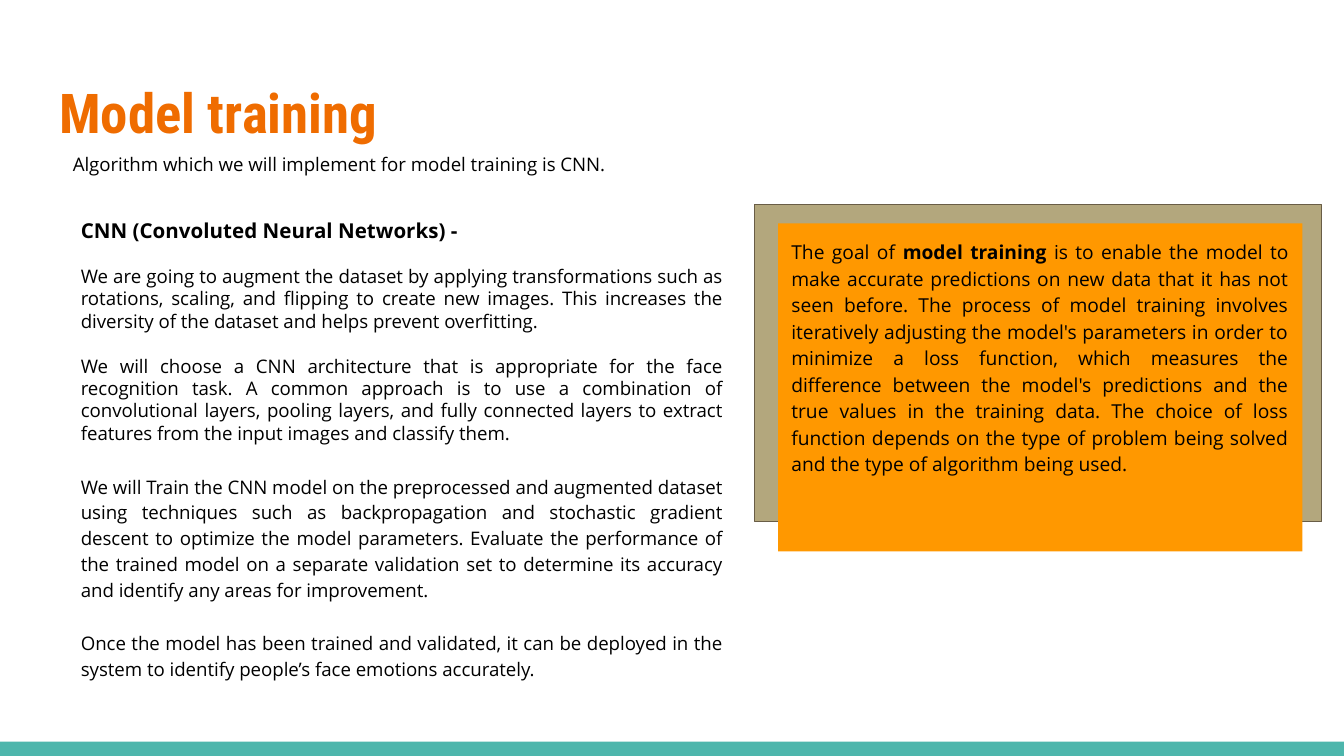
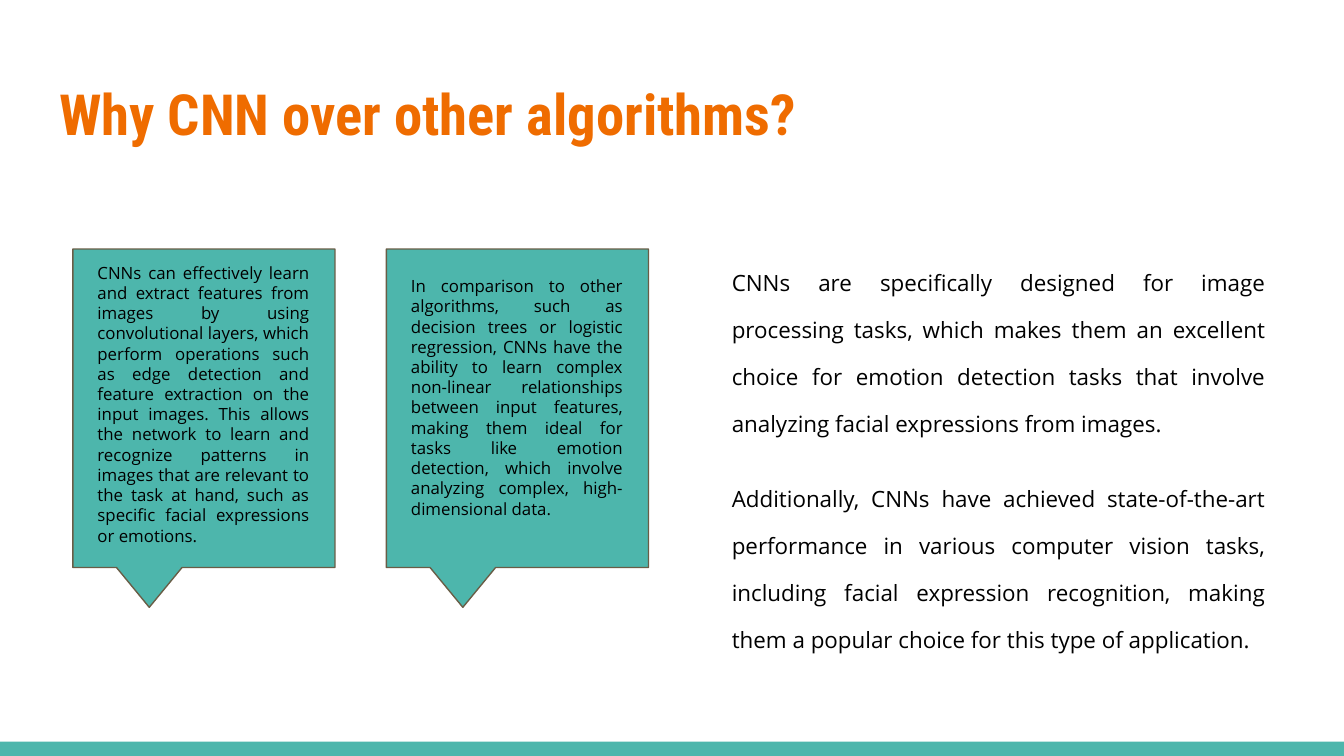
from collections import namedtuple

from pptx import Presentation
from pptx.dml.color import RGBColor
from pptx.enum.shapes import MSO_SHAPE as SHAPE
from pptx.enum.text import MSO_ANCHOR as ANCHOR, MSO_AUTO_SIZE as AUTO_SIZE, PP_ALIGN as ALIGN
from pptx.util import Inches, Pt

COLORS = {
    "title": "EF6C00",
    "text": "000000",
    "teal": "4DB6AC",
    "sand": "B3A77D",
    "orange": "FF9800",
    "outline": "695D46",
}
TITLE_FONT, BODY_FONT = "Roboto Condensed", "Open Sans"
CELL = Inches(0.1)  # the slide is a grid of square cells
COLS, ROWS = 100, 56.25

Box = namedtuple("Box", "col row cols rows")
# One paragraph; runs holds (text, bold) pairs
Para = namedtuple("Para", "runs size align spacing before",
                  defaults=(10, ALIGN.JUSTIFY, None, None))


def rgb(name):
    return RGBColor.from_string(COLORS[name])


def plain(text, bold=False, **style):
    return Para([(text, bold)], **style)


def emu(box):
    return [round(n * CELL) for n in box]


def within(box, col, row, cols, rows):
    """A box whose corner is counted from the corner of another box."""
    return Box(box.col + col, box.row + row, cols, rows)


def write(tf, paras):
    tf.word_wrap = True
    tf.auto_size = AUTO_SIZE.NONE
    tf.vertical_anchor = ANCHOR.TOP
    tf.margin_left = tf.margin_right = tf.margin_top = tf.margin_bottom = CELL
    for i, para in enumerate(paras):
        p = tf.add_paragraph() if i else tf.paragraphs[0]
        p.alignment = para.align
        p.font.name, p.font.size = BODY_FONT, Pt(para.size)
        p.font.color.rgb = rgb("text")
        if para.spacing:
            p.line_spacing = para.spacing
        if para.before:
            p.space_before = Pt(para.before)
        for text, bold in para.runs:
            r = p.add_run()
            r.text = text
            if bold:
                r.font.bold = True


def add_text(s, box, paras):
    write(s.shapes.add_textbox(*emu(box)).text_frame, paras)


def add_block(s, kind, box, fill, outlined=False):
    sp = s.shapes.add_shape(kind, *emu(box))
    sp.shadow.inherit = False
    sp.fill.solid()
    sp.fill.fore_color.rgb = rgb(fill)
    if outlined:
        sp.line.color.rgb = rgb("outline")
        sp.line.width = Pt(0.75)
    else:
        sp.line.fill.background()
    return sp


def new_slide(prs, title, size, cols):
    """A title-only slide with the teal band along its foot."""
    s = prs.slides.add_slide(prs.slide_layouts[5])
    add_block(s, SHAPE.RECTANGLE, Box(0, ROWS - 1.07, COLS, 1.07), "teal")
    sp = s.shapes.title
    sp.left, sp.top, sp.width, sp.height = emu(Box(3.4, 4.87, cols, 7.7))
    write(sp.text_frame, [plain(title, size=size, align=ALIGN.LEFT)])
    font = sp.text_frame.paragraphs[0].font
    font.name, font.bold = TITLE_FONT, True
    font.color.rgb = rgb("title")
    return s


def add_goal_panel(s, box, para):
    """Orange text panel laid over an outlined sand panel."""
    add_block(s, SHAPE.RECTANGLE, box, "sand", outlined=True)
    front = within(box, 1.75, 1.4, 39, 24.4)
    write(add_block(s, SHAPE.RECTANGLE, front, "orange").text_frame, [para])


def add_callout(s, box, text, drop):
    """Speech box whose text starts drop rows below its top."""
    sp = add_block(s, SHAPE.RECTANGULAR_CALLOUT, box, "teal", outlined=True)
    sp.adjustments[0], sp.adjustments[1] = -5 / 24, 5 / 8
    add_text(s, within(box, 0.85, drop, 17.7, box.rows), [plain(text, size=9)])


def build_training(prs):
    s = new_slide(prs, "Model training", 29.4, 92.7)
    add_text(s, Box(4.43, 10.37, 50.9, 3.7), [
        plain("Algorithm which we will implement for model training is CNN.",
              align=ALIGN.LEFT)])
    add_text(s, Box(5.03, 15.2, 49.7, 38), [
        plain("CNN (Convoluted Neural Networks) -", bold=True, size=11, align=ALIGN.LEFT),
        plain("We are going to augment the dataset by applying transformations such as "
              "rotations, scaling, and flipping to create new images. This increases the "
              "diversity of the dataset and helps prevent overfitting.", before=12),
        plain("We will choose a CNN architecture that is appropriate for the face "
              "recognition task. A common approach is to use a combination of "
              "convolutional layers, pooling layers, and fully connected layers to "
              "extract features from the input images and classify them.", before=12),
        plain("We will Train the CNN model on the preprocessed and augmented dataset "
              "using techniques such as backpropagation and stochastic gradient descent "
              "to optimize the model parameters. Evaluate the performance of the trained "
              "model on a separate validation set to determine its accuracy and identify "
              "any areas for improvement.", spacing=1.15, before=15),
        plain("Once the model has been trained and validated, it can be deployed in the "
              "system to identify people’s face emotions accurately.",
              spacing=1.15, before=15),
    ])
    add_goal_panel(s, Box(56.15, 15.23, 42.2, 23.6), Para([
        ("The goal of ", False),
        ("model training", True),
        (" is to enable the model to make accurate predictions on new data that it has "
         "not seen before. The process of model training involves iteratively adjusting "
         "the model's parameters in order to minimize a loss function, which measures "
         "the difference between the model's predictions and the true values in the "
         "training data. The choice of loss function depends on the type of problem "
         "being solved and the type of algorithm being used.", False),
    ], size=10.3, spacing=1.15))


def build_why_cnn(prs):
    s = new_slide(prs, "Why CNN over other algorithms?", 30.4, 93.2)
    callouts = [
        ("CNNs can effectively learn and extract features from images by using "
         "convolutional layers, which perform operations such as edge detection and "
         "feature extraction on the input images. This allows the network to learn and "
         "recognize patterns in images that are relevant to the task at hand, such as "
         "specific facial expressions or emotions.", 0),
        ("In comparison to other algorithms, such as decision trees or logistic "
         "regression, CNNs have the ability to learn complex non-linear relationships "
         "between input features, making them ideal for tasks like emotion detection, "
         "which involve analyzing complex, high-dimensional data.", 1),
    ]
    for i, (text, drop) in enumerate(callouts):
        add_callout(s, Box(5.42 + 23.33 * i, 18.53, 19.5, 23.7), text, drop)
    add_text(s, Box(53.47, 17.53, 41.7, 37), [
        plain("CNNs are specifically designed for image processing tasks, which makes "
              "them an excellent choice for emotion detection tasks that involve "
              "analyzing facial expressions from images.", size=12, spacing=1.75),
        plain("Additionally, CNNs have achieved state-of-the-art performance in various "
              "computer vision tasks, including facial expression recognition, making "
              "them a popular choice for this type of application.",
              size=12, spacing=1.75, before=15),
    ])


def main():
    prs = Presentation()
    prs.slide_width, prs.slide_height = round(COLS * CELL), round(ROWS * CELL)
    build_training(prs)
    build_why_cnn(prs)
    prs.save("out.pptx")


if __name__ == "__main__":
    main()
